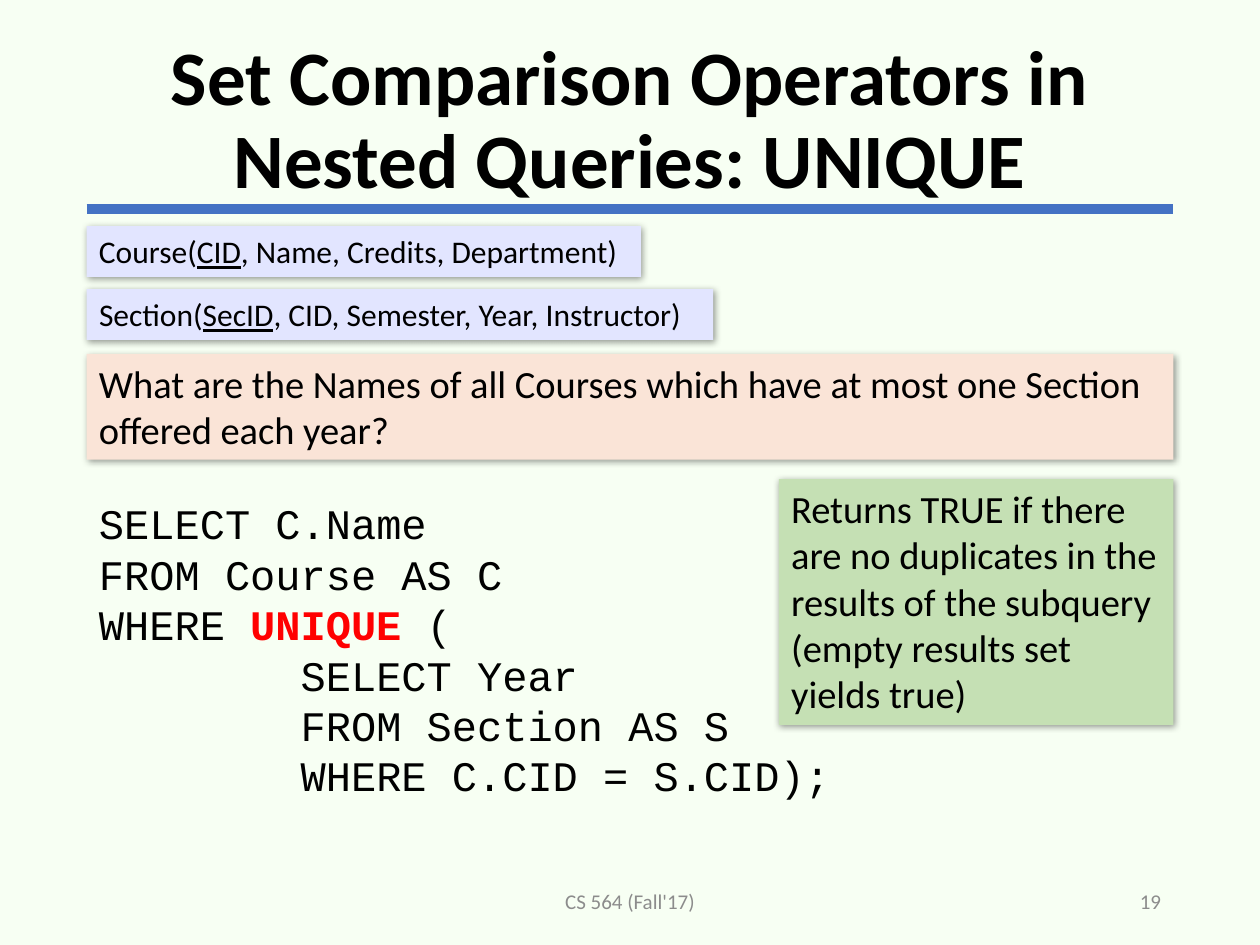
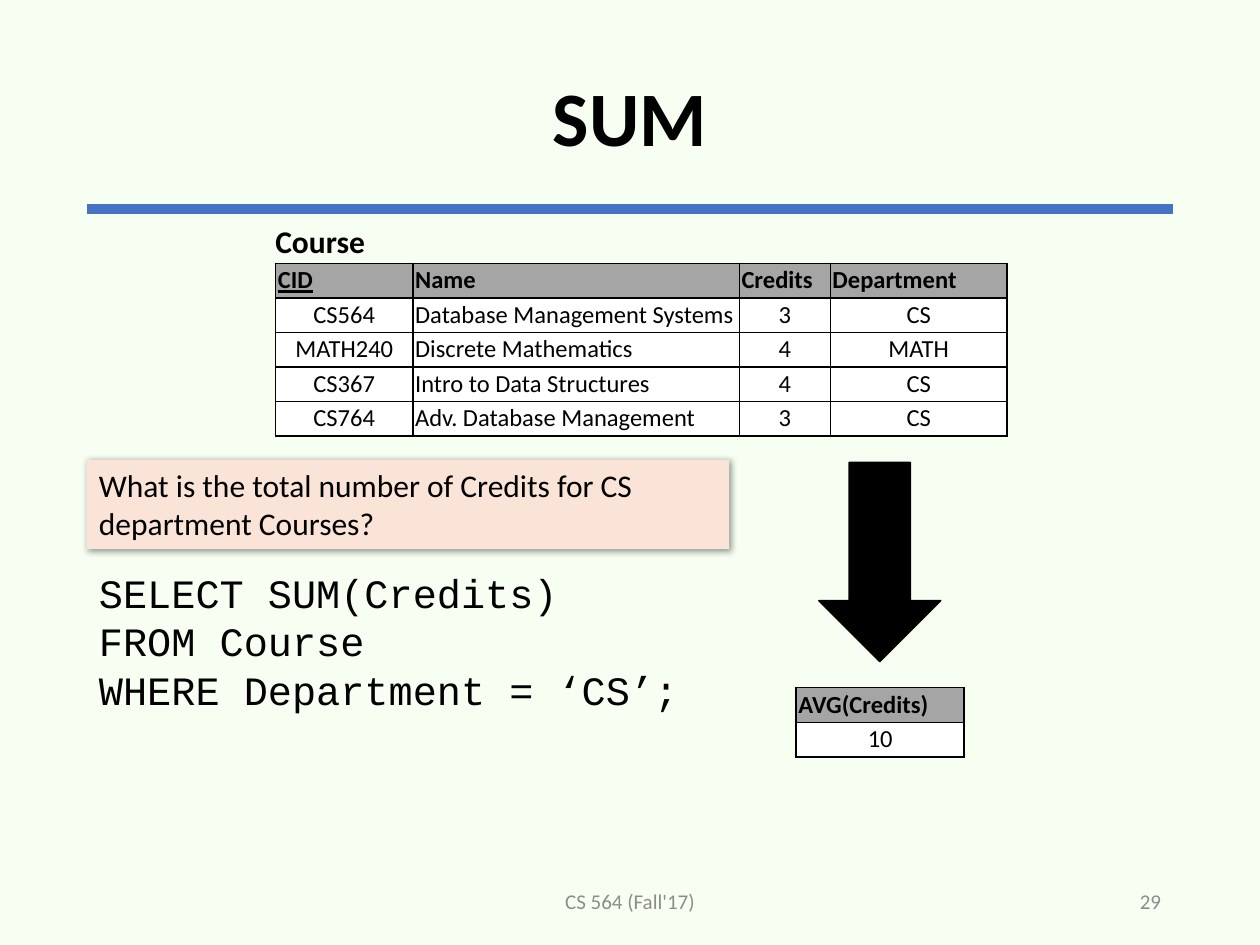
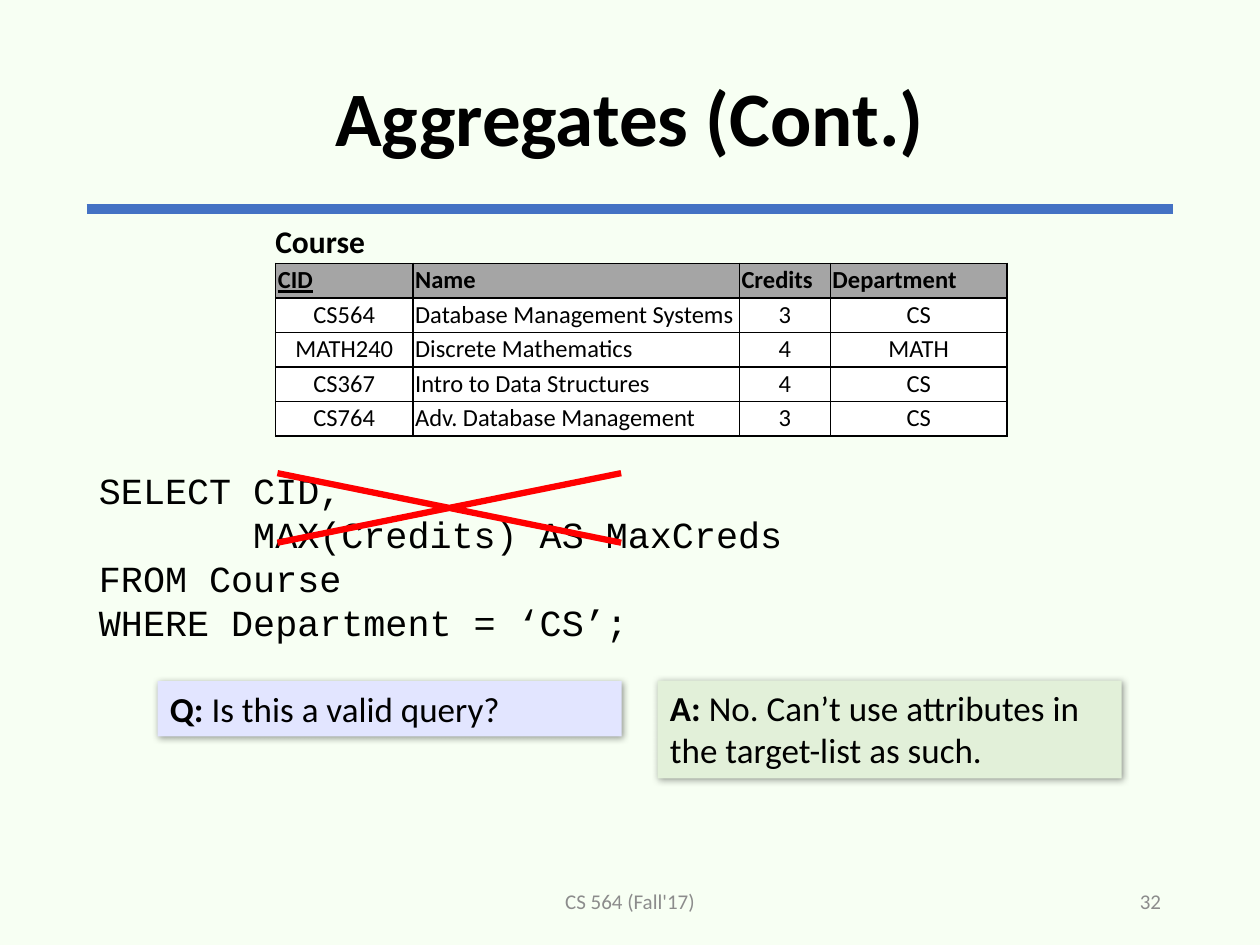
"""Build three lecture slides on nested queries and aggregates in SQL."""
from lxml import etree
from pptx import Presentation
from pptx.dml.color import RGBColor
from pptx.enum.shapes import MSO_CONNECTOR, MSO_SHAPE
from pptx.enum.text import MSO_ANCHOR, PP_ALIGN
from pptx.oxml import parse_xml
from pptx.oxml.ns import nsdecls, qn
from pptx.util import Pt

LEFT, CENTER, RIGHT = PP_ALIGN.LEFT, PP_ALIGN.CENTER, PP_ALIGN.RIGHT
TOP, MIDDLE = MSO_ANCHOR.TOP, MSO_ANCHOR.MIDDLE
RECT, DOWN_ARROW, CROSS = MSO_SHAPE.RECTANGLE, MSO_SHAPE.DOWN_ARROW, MSO_SHAPE.MATH_MULTIPLY
STRAIGHT = MSO_CONNECTOR.STRAIGHT

COLORS = {
    "page": "F7FFF3", "text": "000000", "footer": "8C8C8C", "rule": "4472C4",
    "question": "FAE4D7", "schema": "E2E5FF", "note": "C5E0B4", "answer": "E2F0D9",
    "header": "A5A5A5", "cell": "FFFFFF", "red": "FF0000",
}
SANS, MONO = "Calibri", "Courier New"
MARGIN, CONTENT_W = 49.5, 621
ROW_H, CELL_INSET = 19.75, 1.25
COURSES = [
    ["CID", "Name", "Credits", "Department"],
    ["CS564", "Database Management Systems", "3", "CS"],
    ["MATH240", "Discrete Mathematics", "4", "MATH"],
    ["CS367", "Intro to Data Structures", "4", "CS"],
    ["CS764", "Adv. Database Management", "3", "CS"],
]


def rgb(name):
    return RGBColor.from_string(COLORS[name])


def bold(text, color=None):
    return text, {"bold": True, "color": color}


def underlined(text):
    return text, {"underline": True}


class Deck:
    """Holds the shared style and the current slide."""

    def __init__(self):
        self.prs = Presentation()
        self.prs.slide_width, self.prs.slide_height = Pt(720), Pt(540)
        fill = self.prs.slide_master.background.fill
        fill.solid()
        fill.fore_color.rgb = rgb("page")

    def slide(self, title, number):
        self.s = self.prs.slides.add_slide(self.prs.slide_layouts[6])
        self.rule(MARGIN, 119.5, MARGIN + CONTENT_W)
        self.text(MARGIN, 17.25, CONTENT_W, 104.5, [title], 44, bold=True,
                  align=CENTER, anchor=MIDDLE, spacing=0.9)
        for x, w, label, align in ((238.5, 243, "CS 564 (Fall'17)", CENTER),
                                   (508.5, 162, str(number), RIGHT)):
            self.text(x, 500.5, w, 28.75, [label], 12, color="footer",
                      align=align, anchor=MIDDLE)

    def rule(self, x1, y, x2):
        line = self.s.shapes.add_connector(STRAIGHT, Pt(x1), Pt(y), Pt(x2), Pt(y))
        line.line.color.rgb = rgb("rule")
        line.line.width = Pt(6)
        etree.SubElement(line._element.spPr, qn("a:effectLst"))

    def fill_text(self, tf, lines, size, font=SANS, color="text", bold=None,
                  align=LEFT, spacing=None):
        for i, line in enumerate(lines):
            p = tf.add_paragraph() if i else tf.paragraphs[0]
            p.alignment = align
            if spacing:
                p.line_spacing = spacing
            p.font.name, p.font.size, p.font.bold = font, Pt(size), bold
            p.font.color.rgb = rgb(color)
            for part in [line] if isinstance(line, (str, tuple)) else line:
                text, style = part if isinstance(part, tuple) else (part, {})
                r = p.add_run()
                r.text = text
                r.font.bold = style.get("bold")
                r.font.underline = style.get("underline")
                if style.get("color"):
                    r.font.color.rgb = rgb(style["color"])

    def text(self, x, y, w, h, lines, size, anchor=TOP, **style):
        sp = self.s.shapes.add_textbox(Pt(x), Pt(y), Pt(w), Pt(h))
        tf = sp.text_frame
        tf.word_wrap, tf.vertical_anchor = True, anchor
        self.fill_text(tf, lines, size, **style)

    def code(self, y, w, h, lines, size):
        self.text(MARGIN, y, w, h, lines, size, font=MONO)

    def shape(self, kind, x, y, w, h, fill):
        sp = self.s.shapes.add_shape(kind, Pt(x), Pt(y), Pt(w), Pt(h))
        sp.shadow.inherit = False
        sp.fill.solid()
        sp.fill.fore_color.rgb = rgb(fill)
        sp.line.fill.background()
        return sp

    def callout(self, x, y, w, h, fill, line, size):
        sp = self.shape(RECT, x, y, w, h, fill)
        shadow = parse_xml(
            f'<a:outerShdw {nsdecls("a")} blurRad="{Pt(4)}" dist="{Pt(1)}" dir="2700000" '
            f'algn="tl" rotWithShape="0"><a:srgbClr val="{COLORS["text"]}">'
            '<a:alpha val="40000"/></a:srgbClr></a:outerShdw>')
        sp._element.spPr.find(qn("a:effectLst")).append(shadow)
        tf = sp.text_frame
        tf.word_wrap, tf.vertical_anchor = True, TOP
        self.fill_text(tf, [line], size)

    def table(self, x, y, widths, rows, left_cols=(), key_cols=()):
        frame = self.s.shapes.add_table(len(rows), len(widths), Pt(x), Pt(y),
                                        Pt(sum(widths)), Pt(ROW_H * len(rows)))
        table = frame.table
        table.first_row = table.horz_banding = False
        for column, width in zip(table.columns, widths):
            column.width = Pt(width)
        for i, row in enumerate(rows):
            table.rows[i].height = Pt(ROW_H)
            for j, value in enumerate(row):
                head = i == 0
                cell = table.cell(i, j)
                cell.margin_left = cell.margin_right = Pt(CELL_INSET)
                cell.margin_top = cell.margin_bottom = Pt(CELL_INSET)
                self.borders(cell)
                cell.fill.solid()
                cell.fill.fore_color.rgb = rgb("header" if head else "cell")
                line = underlined(value) if head and j in key_cols else value
                self.fill_text(cell.text_frame, [line], 14, bold=head,
                               align=LEFT if head or j in left_cols else CENTER)

    def borders(self, cell):
        for side in ("lnL", "lnR", "lnT", "lnB"):
            cell._tc.get_or_add_tcPr().append(parse_xml(
                f'<a:{side} {nsdecls("a")} w="{Pt(1)}"><a:solidFill>'
                f'<a:srgbClr val="{COLORS["text"]}"/></a:solidFill></a:{side}>'))

    def course_table(self):
        self.table(157.5, 150.5, [78.5, 186.5, 52, 101], COURSES,
                   left_cols=(1,), key_cols=(0,))
        self.text(150.25, 123.25, 73, 29, ["Course"], 18, bold=True)


def unique_slide(deck):
    deck.slide("Set Comparison Operators in Nested Queries: UNIQUE", 19)
    deck.callout(MARGIN, 202.25, CONTENT_W, 60.5, "question",
                 "What are the Names of all Courses which have at most one Section "
                 "offered each year?", 22)
    deck.code(281, CONTENT_W, 181.5, [
        "SELECT C.Name",
        "FROM Course AS C",
        ["WHERE ", bold("UNIQUE", "red"), " ("],
        "        SELECT Year",
        "        FROM Section AS S",
        "        WHERE C.CID = S.CID);",
    ], 24)
    schemas = (
        (316.75, ["Course(", underlined("CID"), ", Name, Credits, Department)"]),
        (358, ["Section(", underlined("SecID"), ", CID, Semester, Year, Instructor)"]),
    )
    for i, (w, line) in enumerate(schemas):
        deck.callout(MARGIN, 129.25 + 36 * i, w, 29, "schema", line, 18)
    deck.callout(445, 273.75, 225.5, 140.5, "note",
                 "Returns TRUE if there are no duplicates in the results of the "
                 "subquery (empty results set yields true)", 22)


def sum_slide(deck):
    deck.slide("SUM", 29)
    deck.code(321.25, 432, 99.5, [
        "SELECT SUM(Credits)",
        "FROM Course",
        "WHERE Department = ‘CS’;",
    ], 23)
    arrow = deck.shape(DOWN_ARROW, 468, 264.25, 69.5, 113.75, "text")
    arrow.line.color.rgb = rgb("text")
    arrow.line.width = Pt(1)
    deck.course_table()
    deck.table(455, 393, [96], [["AVG(Credits)"], ["10"]])
    deck.callout(MARGIN, 262.75, 367.25, 51, "question",
                 "What is the total number of Credits for CS department Courses?", 18)


def aggregates_slide(deck):
    deck.slide("Aggregates (Cont.)", 32)
    deck.code(263.5, 432, 111.5, [
        "SELECT CID,",
        "       MAX(Credits) AS MaxCreds",
        "FROM Course",
        "WHERE Department = ‘CS’;",
    ], 21)
    deck.course_table()
    deck.callout(90, 389.25, 265.25, 31.5, "schema",
                 [bold("Q: "), "Is this a valid query?"], 20)
    deck.callout(375.75, 389, 265.25, 55.75, "answer",
                 [bold("A: "), "No. Can’t use attributes in the target-list as such."], 20)
    cross = deck.shape(CROSS, 67.75, 252, 378, 76.5, "red")
    cross.adjustments[0] = 0.047


def main():
    deck = Deck()
    unique_slide(deck)
    sum_slide(deck)
    aggregates_slide(deck)
    deck.prs.save("out.pptx")


if __name__ == "__main__":
    main()
